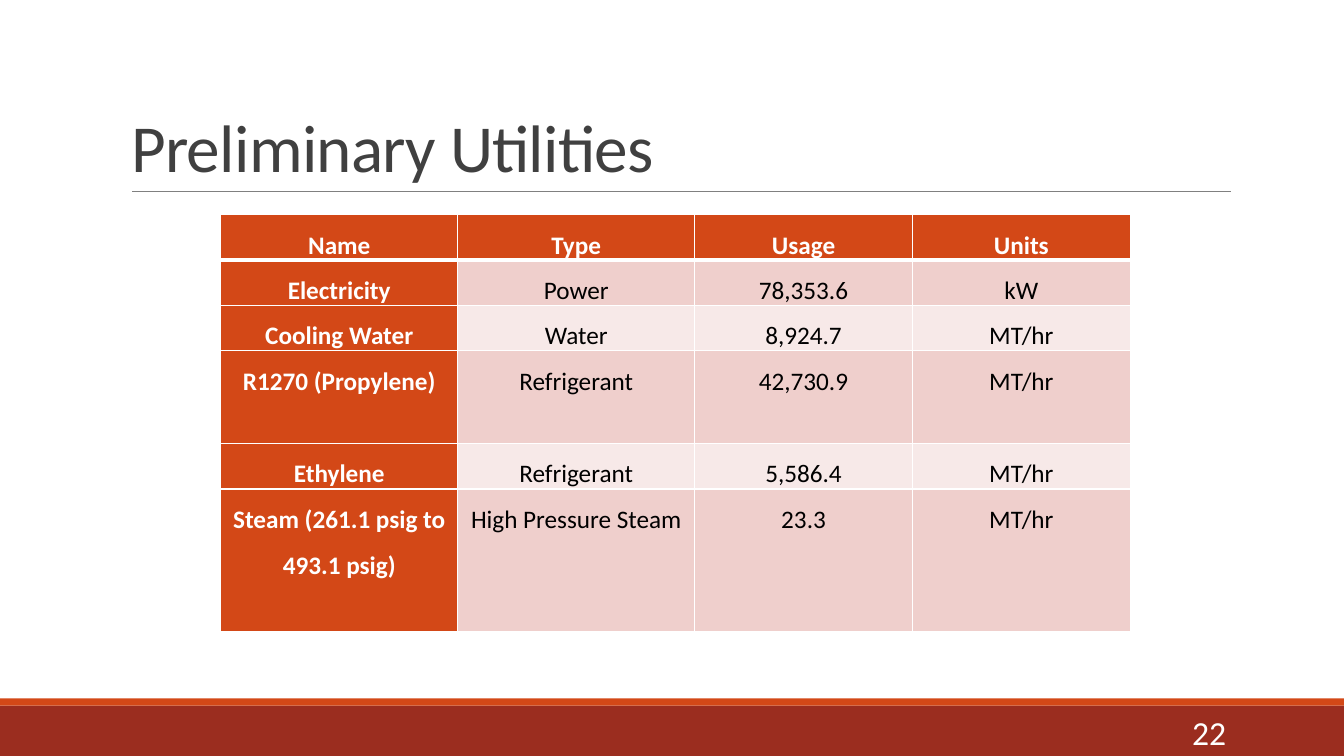
from lxml import etree
from pptx import Presentation
from pptx import util as u
from pptx.dml.color import RGBColor
from pptx.enum import shapes, text
from pptx.oxml import ns

WHITE = RGBColor(0xFF, 0xFF, 0xFF)
BLACK = RGBColor(0, 0, 0)
DARK = RGBColor(0x40, 0x40, 0x40)
GRAY = RGBColor(0x80, 0x80, 0x80)
RED = RGBColor(0x9B, 0x2D, 0x1F)
ORANGE = RGBColor(0xD3, 0x48, 0x17)
BANDS = RGBColor(0xEF, 0xCF, 0xCC), RGBColor(0xF7, 0xE9, 0xE8)

ROWS = [
    ("Name", "Type", "Usage", "Units"),
    ("Electricity", "Power", "78,353.6", "kW"),
    ("Cooling Water", "Water", "8,924.7", "MT/hr"),
    ("R1270 (Propylene)", "Refrigerant", "42,730.9", "MT/hr"),
    ("Ethylene", "Refrigerant", "5,586.4", "MT/hr"),
    ("Steam (261.1 psig to 493.1 psig)", "High Pressure Steam", "23.3", "MT/hr"),
]
WIDTHS = 2.35, 2.35, 2.16, 2.16
HEIGHTS = 0.44, 0.44, 0.44, 0.92, 0.44, 1.41


class Deck:
    """Hold the style and the current slide, and draw each kind of element."""

    face = "Calibri"

    def __init__(self, show):
        self.slide = show.slides.add_slide(show.slide_layouts[5])
        self.items = self.slide.shapes

    def box(self, *sides):
        return [u.Inches(side) for side in sides]

    def put(self, frame, words, size, color, align, bold=False, space=1.0):
        para = frame.paragraphs[0]
        para.alignment = align
        para.line_spacing = space
        run = para.add_run()
        run.text = words
        font = run.font
        font.name, font.size, font.bold = self.face, u.Pt(size), bold
        font.color.rgb = color
        return run

    def title(self, words, *sides):
        head = self.items.title
        head.left, head.top, head.width, head.height = self.box(*sides)
        frame = head.text_frame
        frame.word_wrap = True
        frame.auto_size = text.MSO_AUTO_SIZE.NONE
        frame.vertical_anchor = text.MSO_ANCHOR.BOTTOM
        run = self.put(frame, words, 48, DARK, text.PP_ALIGN.LEFT, space=0.85)
        run._r.get_or_add_rPr().set("spc", "-50")

    def bar(self, color, *sides):
        bar = self.items.add_shape(shapes.MSO_SHAPE.RECTANGLE, *self.box(*sides))
        bar.shadow.inherit = False
        bar.fill.solid()
        bar.fill.fore_color.rgb = color
        bar.line.fill.background()

    def rule(self, color, width, *ends):
        line = self.items.add_connector(shapes.MSO_CONNECTOR.STRAIGHT, *self.box(*ends))
        line.line.color.rgb = color
        line.line.width = u.Pt(width)
        etree.SubElement(line._element.spPr, ns.qn("a:effectLst"))

    def label(self, words, *sides):
        frame = self.items.add_textbox(*self.box(*sides)).text_frame
        frame.word_wrap = True
        frame.vertical_anchor = text.MSO_ANCHOR.MIDDLE
        self.put(frame, words, 24, WHITE, text.PP_ALIGN.RIGHT)

    def edge(self, cell, side, width):
        props = cell._tc.get_or_add_tcPr()
        line = etree.SubElement(props, ns.qn("a:ln" + side), w=str(u.Pt(width)))
        fill = etree.SubElement(line, ns.qn("a:solidFill"))
        etree.SubElement(fill, ns.qn("a:srgbClr"), val=str(WHITE))

    def cell(self, cell, words, row, col):
        cell.margin_left = cell.margin_right = u.Inches(0.07)
        cell.margin_top = cell.margin_bottom = 0
        thick = {(0, "B"), (1, "T")}
        for side in "LRTB":
            self.edge(cell, side, 3 if (row, side) in thick else 1)
        head = row == 0 or col == 0
        cell.fill.solid()
        cell.fill.fore_color.rgb = ORANGE if head else BANDS[(row - 1) % 2]
        self.put(cell.text_frame, words, 18, WHITE if head else BLACK,
                 text.PP_ALIGN.CENTER, head, 1.5)

    def table(self, rows, widths, heights, left, top):
        sides = self.box(left, top, sum(widths), sum(heights))
        table = self.items.add_table(len(rows), len(widths), *sides).table
        table.first_col = True
        for col, width in zip(table.columns, widths):
            col.width = u.Inches(width)
        for row, height in zip(table.rows, heights):
            row.height = u.Inches(height)
        for r, row in enumerate(rows):
            for c, words in enumerate(row):
                self.cell(table.cell(r, c), words, r, c)


def main():
    show = Presentation()
    show.slide_width, show.slide_height = u.Inches(13.33), u.Inches(7.5)
    deck = Deck(show)
    deck.bar(RED, 0, 7, 13.33, 0.5)
    deck.bar(ORANGE, 0, 6.93, 13.33, 0.07)
    deck.rule(GRAY, 0.5, 1.31, 1.9, 12.21, 1.9)
    deck.title("Preliminary Utilities", 1.2, 0.31, 11, 1.59)
    deck.label("22", 10.83, 7.06, 1.43, 0.4)
    deck.table(ROWS, WIDTHS, HEIGHTS, 2.19, 2.13)
    show.save("out.pptx")


if __name__ == "__main__":
    main()
